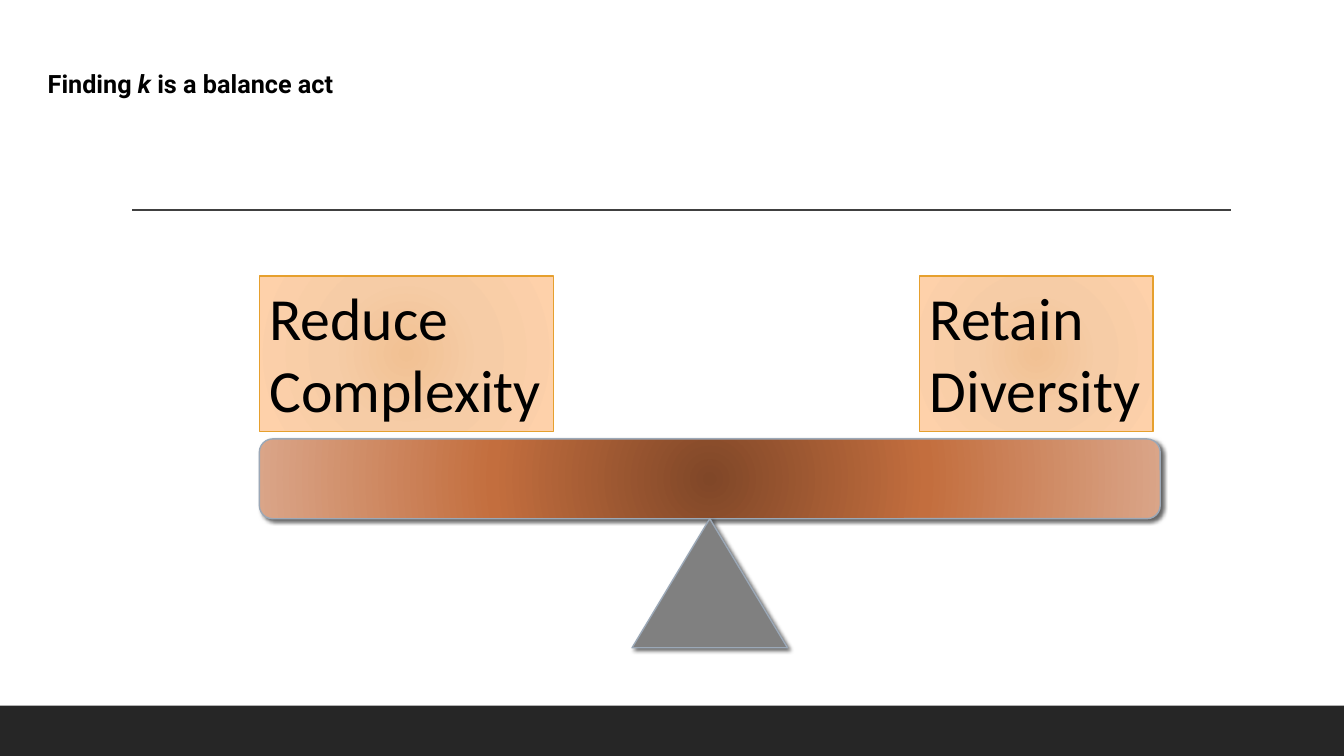
from dataclasses import dataclass

from lxml import etree
from pptx import Presentation
from pptx import util as u
from pptx.dml.color import RGBColor
from pptx.enum import shapes, text
from pptx.oxml import ns

PX = 9525
SLIDE_W, SLIDE_H = 1280, 720
FOOTER_H = 48
BEAM_X, BEAM_Y, BEAM_W, BEAM_H = 247, 418, 858, 76
PIVOT_W, PIVOT_H = 148, 123
WEIGHT_Y, WEIGHT_H = 263, 148
BEAM_STOPS = ((0, "804728"), (48, "C36E3E"), (100, "DAA588"))
WEIGHT_STOPS = ((0, "F1C193"), (45, "F6CCA6"), (100, "FED1AA"))


@dataclass
class Weight:
    x: int
    w: int
    lines: tuple[str, ...]


WEIGHTS = (
    Weight(BEAM_X, 280, ("Reduce", "Complexity")),
    Weight(876, 222, ("Retain", "Diversity")),
)


def px(n: float) -> int:
    return u.Emu(round(n * PX))


def rgb(value: str) -> RGBColor:
    return RGBColor.from_string(value)


def add_node(parent, tag: str, **attrs):
    values = {key: str(value) for key, value in attrs.items()}
    return etree.SubElement(parent, ns.qn(tag), values)


def set_gradient(sp, stops) -> None:
    sp.fill.gradient()
    grad = sp._element.spPr.find(ns.qn("a:gradFill"))
    for child in list(grad):
        grad.remove(child)
    stop_list = add_node(grad, "a:gsLst")
    for pos, color in stops:
        stop = add_node(stop_list, "a:gs", pos=pos * 1000)
        add_node(stop, "a:srgbClr", val=color)
    circle = add_node(grad, "a:path", path="circle")
    add_node(circle, "a:fillToRect", l=50000, t=50000, r=50000, b=50000)


def set_shadow(sp) -> None:
    effects = sp._element.spPr.find(ns.qn("a:effectLst"))
    shadow = add_node(effects, "a:outerShdw", blurRad=u.Pt(3), dist=u.Pt(2),
                      dir=45 * 60000, algn="tl", rotWithShape=0)
    color = add_node(shadow, "a:srgbClr", val="000000")
    add_node(color, "a:alpha", val=60000)


def add_box(slide, kind, x: float, y: float, w: float, h: float,
            fill: str = "", stops=(), line: str = "", shadow: bool = False):
    sp = slide.shapes.add_shape(kind, px(x), px(y), px(w), px(h))
    sp.shadow.inherit = False
    if stops:
        set_gradient(sp, stops)
    else:
        sp.fill.solid()
        sp.fill.fore_color.rgb = rgb(fill)
    if line:
        sp.line.color.rgb = rgb(line)
        sp.line.width = u.Pt(1)
    else:
        sp.line.fill.background()
    if shadow:
        set_shadow(sp)
    return sp


def add_run(p, content: str, *, size: float, font: str, color: str = "000000",
            bold: bool = False, italic: bool = False) -> None:
    r = p.add_run()
    r.text = content
    r.font.size = u.Pt(size)
    r.font.name = font
    r.font.color.rgb = rgb(color)
    r.font.bold = bold
    r.font.italic = italic


def setup_frame(sp, wrap: bool):
    tf = sp.text_frame
    tf.word_wrap = wrap
    tf.auto_size = text.MSO_AUTO_SIZE.SHAPE_TO_FIT_TEXT
    tf.vertical_anchor = text.MSO_ANCHOR.TOP
    return tf


def add_weight(slide, weight: Weight) -> None:
    sp = add_box(slide, shapes.MSO_SHAPE.RECTANGLE, weight.x, WEIGHT_Y,
                 weight.w, WEIGHT_H, stops=WEIGHT_STOPS, line="E6A02E")
    tf = setup_frame(sp, wrap=False)
    for i, content in enumerate(weight.lines):
        p = tf.add_paragraph() if i else tf.paragraphs[0]
        p.alignment = text.PP_ALIGN.LEFT
        add_run(p, content, size=42.7, font="Calibri")


def add_rule(slide, x1: int, x2: int, y: int) -> None:
    rule = slide.shapes.add_connector(
        shapes.MSO_CONNECTOR.STRAIGHT, px(x1), px(y), px(x2), px(y))
    rule.line.color.rgb = rgb("404040")
    rule.line.width = u.Pt(1)
    add_node(rule._element.spPr, "a:effectLst")


def add_title(slide) -> None:
    sp = slide.shapes.add_textbox(px(36), px(60), px(466), px(38))
    p = setup_frame(sp, wrap=True).paragraphs[0]
    for content, italic in (("Finding ", False), ("k", True),
                            (" is a balance act", False)):
        add_run(p, content, size=18, font="Roboto", bold=True, italic=italic)


def main() -> None:
    prs = Presentation()
    prs.slide_width, prs.slide_height = px(SLIDE_W), px(SLIDE_H)
    slide = prs.slides.add_slide(prs.slide_layouts[6])

    add_box(slide, shapes.MSO_SHAPE.RECTANGLE, 0, SLIDE_H - FOOTER_H,
            SLIDE_W, FOOTER_H, fill="262626")
    add_rule(slide, 126, 1172, 200)
    add_box(slide, shapes.MSO_SHAPE.ROUNDED_RECTANGLE, BEAM_X, BEAM_Y,
            BEAM_W, BEAM_H, stops=BEAM_STOPS, line="9BA8B7", shadow=True)
    add_box(slide, shapes.MSO_SHAPE.ISOSCELES_TRIANGLE,
            BEAM_X + (BEAM_W - PIVOT_W) / 2, BEAM_Y + BEAM_H,
            PIVOT_W, PIVOT_H, fill="808080", line="9BA8B7", shadow=True)
    for weight in WEIGHTS:
        add_weight(slide, weight)
    add_title(slide)
    prs.save("out.pptx")


if __name__ == "__main__":
    main()
